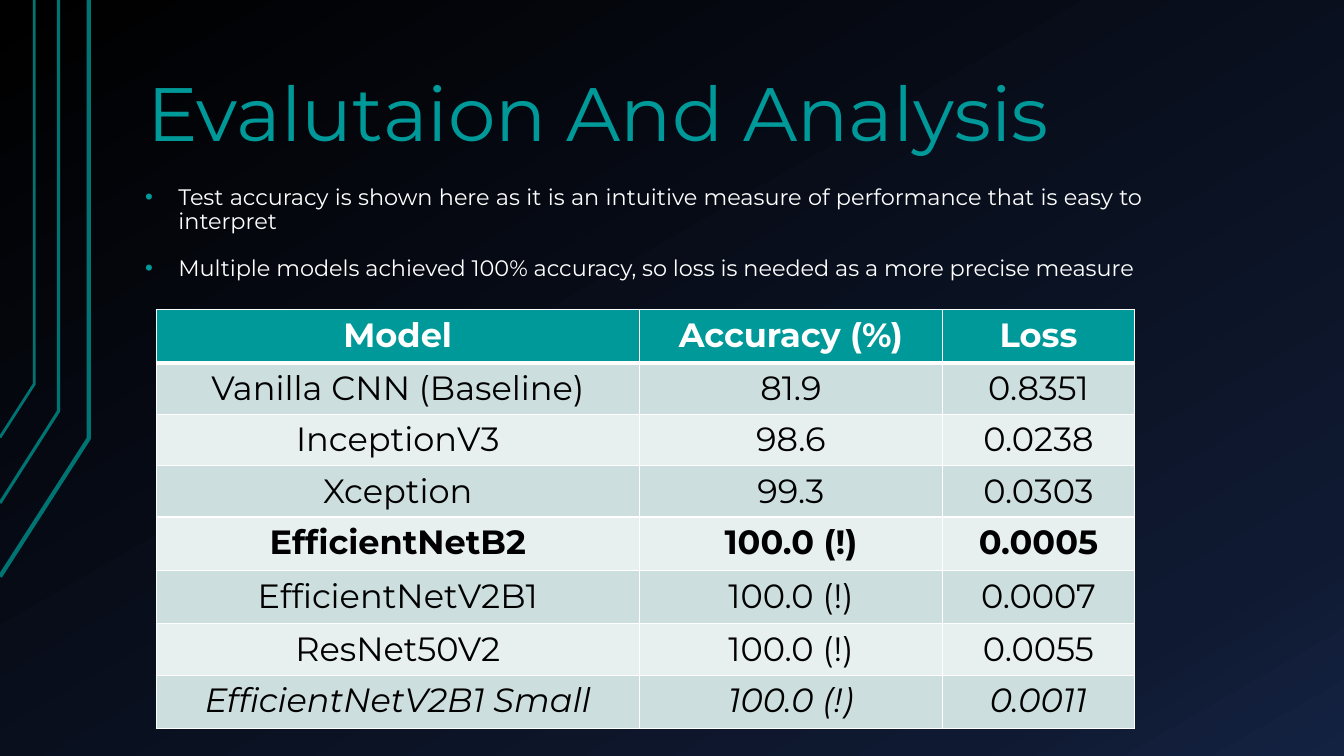
"""Build a slide that compares image models by test accuracy and loss."""
from copy import deepcopy
from lxml.etree import SubElement
from pptx import Presentation
from pptx.dml.color import RGBColor
from pptx.enum.text import MSO_ANCHOR, MSO_AUTO_SIZE, PP_ALIGN
from pptx.oxml.ns import qn
from pptx.util import Inches, Pt

TITLE = "Evalutaion And Analysis"
POINTS = [
    "Test accuracy is shown here as it is an intuitive measure of performance that is easy to interpret",
    "Multiple models achieved 100% accuracy, so loss is needed as a more precise measure",
]
ROWS = [
    ("Model", "Accuracy (%)", "Loss"),
    ("Vanilla CNN (Baseline)", "81.9", "0.8351"),
    ("InceptionV3", "98.6", "0.0238"),
    ("Xception", "99.3", "0.0303"),
    ("EfficientNetB2", "100.0 (!)", "0.0005"),
    ("EfficientNetV2B1", "100.0 (!)", "0.0007"),
    ("ResNet50V2", "100.0 (!)", "0.0055"),
    ("EfficientNetV2B1 Small", "100.0 (!)", "0.0011"),
]
BOLD, ITALIC = {0, 4}, {7}
COLS = [4.79, 3.01, 1.9]
TALL, SHORT = 0.53, 0.51
TALL_ROWS = {0, 4, 5, 7}
TRACKS = [(0.88, 4.35, 5.72, 3), (0.58, 4.08, 4.99, 2.25), (0.34, 3.81, 4.34, 2)]

FONT = "Montserrat"
TEAL = RGBColor(0x00, 0x99, 0x99)
DEEP = RGBColor(0x00, 0x73, 0x73)
BAND = RGBColor(0xCC, 0xDE, 0xDE)
PALE = RGBColor(0xE7, 0xEF, 0xEF)
WHITE = RGBColor(0xFF, 0xFF, 0xFF)
BLACK = RGBColor(0x00, 0x00, 0x00)
NIGHT = [(0, BLACK), (0.85, RGBColor(0x0F, 0x19, 0x31)), (1, RGBColor(0x14, 0x22, 0x42))]


def write(para, text, size, color, bold=False, italic=False):
    run = para.add_run()
    run.text = text
    font = run.font
    font.name, font.size, font.bold, font.italic = FONT, Pt(size), bold, italic
    font.color.rgb = color


def place(shape, left, top, width, height, anchor):
    shape.left, shape.top = Inches(left), Inches(top)
    shape.width, shape.height = Inches(width), Inches(height)
    frame = shape.text_frame
    frame.word_wrap, frame.auto_size = True, MSO_AUTO_SIZE.NONE
    frame.vertical_anchor = anchor
    frame.margin_left = frame.margin_right = Inches(0.13)
    frame.margin_top = frame.margin_bottom = Inches(0.07)
    return frame


def paint(slide):
    fill = slide.background.fill
    fill.gradient()
    fill.gradient_angle = 300
    stops = next(slide.element.iter(qn("a:gsLst")))
    stops.append(deepcopy(stops[-1]))
    for stop, (pos, color) in zip(fill.gradient_stops, NIGHT):
        stop.position, stop.color.rgb = pos, color


def bullet(para):
    props = para._p.get_or_add_pPr()
    props.set("marL", str(Inches(0.33)))
    props.set("indent", str(-Inches(0.33)))
    tint = SubElement(SubElement(props, qn("a:buClr")), qn("a:srgbClr"))
    tint.set("val", str(TEAL))
    SubElement(props, qn("a:buFont")).set("typeface", "Arial")
    SubElement(props, qn("a:buChar")).set("char", "•")


def border(cell, row):
    props = cell._tc.get_or_add_tcPr()
    for side in "LRTB":
        thick = (row, side) in {(0, "B"), (1, "T")}
        line = SubElement(props, qn(f"a:ln{side}"), w=str(Pt(3 if thick else 1)))
        SubElement(SubElement(line, qn("a:solidFill")), qn("a:srgbClr"), val=str(WHITE))


def add_tracks(shapes):
    for x, bend, low, weight in TRACKS:
        path = shapes.build_freeform(0, Inches(low))
        path.add_line_segments([(Inches(x), Inches(bend)), (Inches(x), 0)], close=False)
        track = path.convert_to_shape()
        track.shadow.inherit = False
        track.fill.background()
        track.line.color.rgb, track.line.width = DEEP, Pt(weight)


def add_scores(shapes):
    highs = [TALL if row in TALL_ROWS else SHORT for row in range(len(ROWS))]
    table = shapes.add_table(len(ROWS), len(COLS), Inches(1.55), Inches(3.07),
                             Inches(sum(COLS)), Inches(sum(highs))).table
    for col, width in zip(table.columns, COLS):
        col.width = Inches(width)
    for row, texts in enumerate(ROWS):
        table.rows[row].height = Inches(highs[row])
        for col, text in enumerate(texts):
            cell = table.cell(row, col)
            border(cell, row)
            cell.fill.solid()
            cell.fill.fore_color.rgb = TEAL if row == 0 else BAND if row % 2 else PALE
            para = cell.text_frame.paragraphs[0]
            para.alignment = PP_ALIGN.CENTER
            write(para, text, 24, BLACK if row else WHITE, row in BOLD, row in ITALIC)


def main():
    deck = Presentation()
    deck.slide_width, deck.slide_height = Inches(13.33), Inches(7.5)
    slide = deck.slides.add_slide(deck.slide_layouts[1])
    paint(slide)
    add_tracks(slide.shapes)

    head = place(slide.shapes.title, 1.33, 0.3, 11.33, 1.34, MSO_ANCHOR.BOTTOM).paragraphs[0]
    head.alignment, head.line_spacing = PP_ALIGN.LEFT, 0.9
    write(head, TITLE, 54, TEAL)

    add_scores(slide.shapes)

    body = place(slide.placeholders[1], 1.31, 1.78, 10.16, 1.1, MSO_ANCHOR.TOP)
    for num, text in enumerate(POINTS):
        para = body.add_paragraph() if num else body.paragraphs[0]
        bullet(para)
        para.alignment, para.line_spacing = PP_ALIGN.JUSTIFY, 0.9
        para.space_before = Pt(16 if num else 0)
        write(para, text, 16, WHITE)
    deck.save("out.pptx")


if __name__ == "__main__":
    main()
